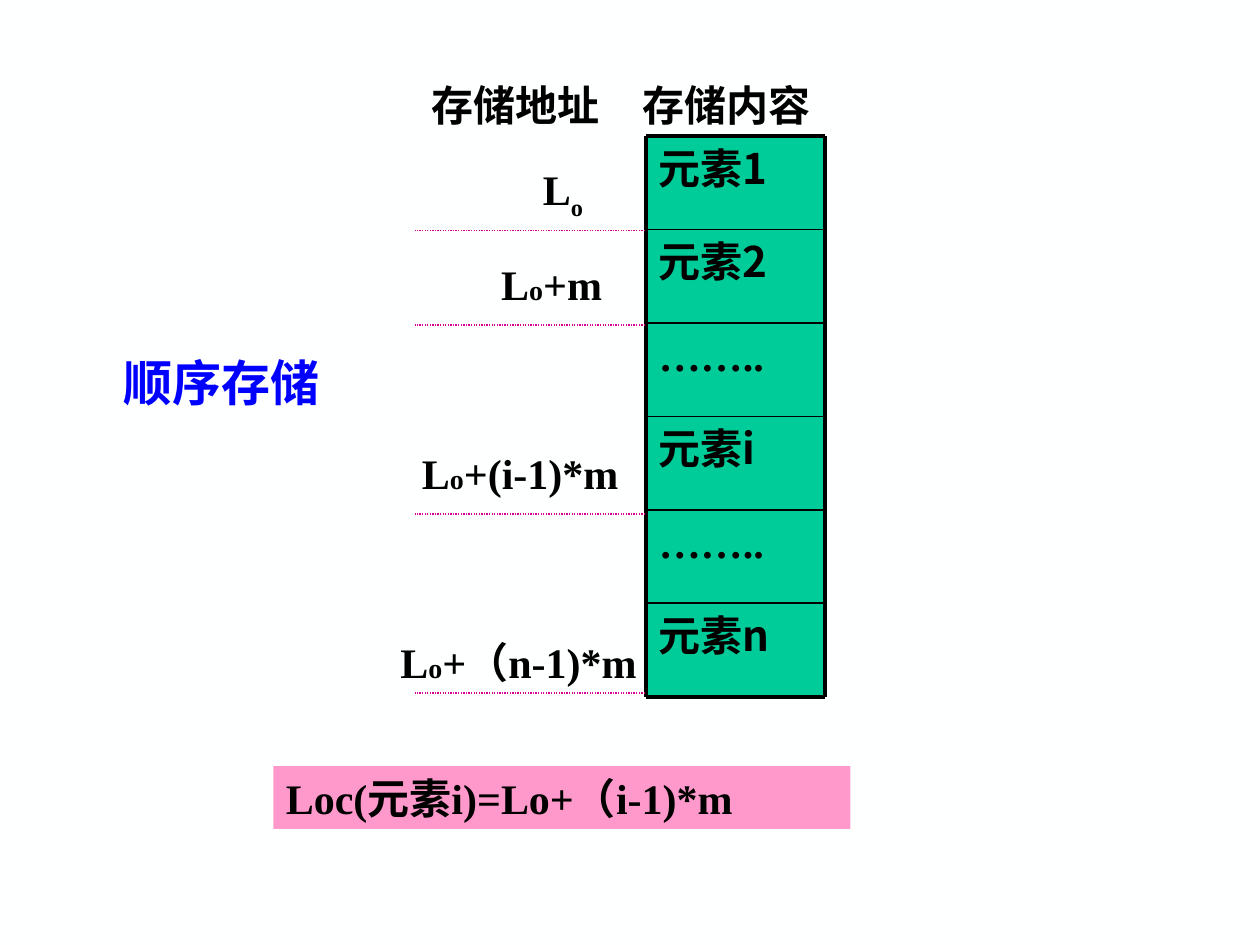
import pptx
import pptx.dml.color
import pptx.enum.dml
import pptx.enum.shapes
import pptx.enum.text
import pptx.oxml
import pptx.oxml.ns
import pptx.util

Inches = pptx.util.Inches
Pt = pptx.util.Pt
RGB = pptx.dml.color.RGBColor.from_string
qn = pptx.oxml.ns.qn
COLORS = {"background": "FEFFFF", "cell": "00CC99", "formula": "FF99CC",
          "text": "000000", "title": "0000FF", "guide": "D60093"}
LATIN, CJK = "Times New Roman", "Noto Sans CJK SC"

prs = pptx.Presentation()
prs.slide_width, prs.slide_height = Inches(10), Inches(7.5)
s = prs.slides.add_slide(prs.slide_layouts[6])
s.background.fill.solid()
s.background.fill.fore_color.rgb = RGB(COLORS["background"])


def add_box(box, runs, fill=None, font=LATIN, color="text", wrap=True, grow=True):
    """Add a text box, or a filled rectangle; runs are (text, size, baseline)."""
    box = [Inches(v) for v in box]
    if fill:
        sp = s.shapes.add_shape(pptx.enum.shapes.MSO_SHAPE.RECTANGLE, *box)
        sp.shadow.inherit = False
        sp.fill.solid()
        sp.fill.fore_color.rgb = RGB(COLORS[fill])
        sp.line.fill.background()
    else:
        sp = s.shapes.add_textbox(*box)
    tf = sp.text_frame
    sizing = pptx.enum.text.MSO_AUTO_SIZE
    layout = {"word_wrap": wrap, "vertical_anchor": pptx.enum.text.MSO_ANCHOR.TOP,
              "auto_size": sizing.SHAPE_TO_FIT_TEXT if grow else sizing.NONE}
    for name, value in layout.items():
        setattr(tf, name, value)
    p = tf.paragraphs[0]
    p.alignment = pptx.enum.text.PP_ALIGN.LEFT
    for text, size, baseline in runs:
        r = p.add_run()
        r.text = text
        for name, value in {"size": Pt(size), "bold": True, "name": font}.items():
            setattr(r.font, name, value)
        r.font.color.rgb = RGB(COLORS[color])
        rPr = r._r.get_or_add_rPr()
        if baseline:
            rPr.set("baseline", str(baseline))
        ea = pptx.oxml.parse_xml(
            '<a:ea xmlns:a="http://schemas.openxmlformats.org/drawingml/2006/main"/>')
        ea.set("typeface", CJK)
        rPr.find(qn("a:latin")).addnext(ea)


def add_line(x1, y1, x2, y2, width, color="text", dash=None):
    c = s.shapes.add_connector(pptx.enum.shapes.MSO_CONNECTOR.STRAIGHT,
                               Inches(x1), Inches(y1), Inches(x2), Inches(y2))
    c.line.color.rgb = RGB(COLORS[color])
    c.line.width = Pt(width)
    if dash:
        c.line.dash_style = dash
    c._element.spPr.append(pptx.oxml.parse_xml(
        '<a:effectLst xmlns:a="http://schemas.openxmlformats.org/drawingml/2006/main"/>'))


# Storage cells and their ruling
left, top, width, bottom = 5.13, 1.08, 1.42, 5.53
right = left + width
cells = ["元素1", "元素2", "……..", "元素i", "……..", "元素n"]
step = (bottom - top) / len(cells)
for i, text in enumerate(cells):
    add_box((left, top + i * step, width, step), [(text, 24, 0)], fill="cell",
            font=CJK if text.startswith("元素") else LATIN, grow=False)
for i in range(len(cells) + 1):
    y = top + i * step
    add_line(left, y, right, y, 2.25 if i in (0, len(cells)) else 1)
for x in (left, right):
    add_line(x, top, x, bottom, 2.25)

# Addresses
add_box((4.21, 1.25, 0.83, 0.56), [("L", 24, 0), ("o", 24, -25000)])
addresses = [((3.88, 2, 1.17, 0.5), "+m"),
             ((3.25, 3.5, 2.13, 0.5), "+(i-1)*m"),
             ((3.08, 5, 2.08, 0.9), "+（n-1)*m")]
for box, offset in addresses:
    add_box(box, [("L", 24, 0), ("o", 16, 0), (offset, 24, 0)])
for y in (1.83, 2.58, 4.08, 5.5):
    add_line(5.12, y, 3.29, y, 0.75, "guide", pptx.enum.dml.MSO_LINE.ROUND_DOT)

# Headings, formula and title
add_box((3.33, 0.58, 1.71, 0.5), [("存储地址", 24, 0)])
add_box((5, 0.58, 1.58, 0.5), [("存储内容", 24, 0)])
add_box((2.17, 6.08, 4.58, 0.5), [("Loc(元素i)=Lo+（i-1)*m", 24, 0)], fill="formula")
add_box((0.88, 2.75, 1.75, 0.57), [("顺序存储", 28, 0)], color="title", wrap=False)

prs.save("out.pptx")
